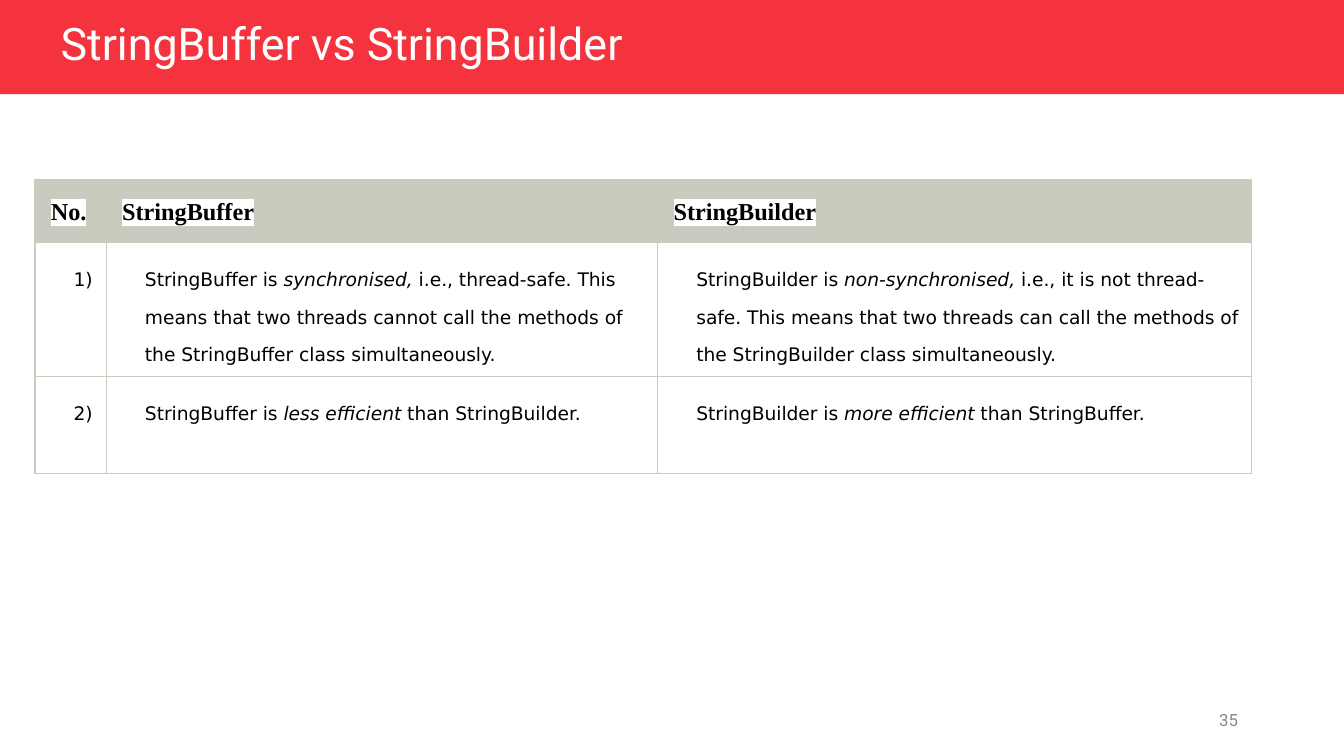
from lxml import etree
from pptx import Presentation
from pptx.dml.color import RGBColor
from pptx.enum.shapes import MSO_SHAPE
from pptx.enum.text import MSO_ANCHOR, MSO_AUTO_SIZE, PP_ALIGN
from pptx.oxml.ns import qn
from pptx.util import Cm, Pt

RECT = MSO_SHAPE.RECTANGLE
MIDDLE = MSO_ANCHOR.MIDDLE
LEFT, RIGHT = PP_ALIGN.LEFT, PP_ALIGN.RIGHT
NO_FIT = MSO_AUTO_SIZE.NONE

RED, WHITE, BLACK = "F5333F", "FFFFFF", "000000"
SAGE, GREY = "C7CCBE", "888888"

TITLE_FONT = {"name": "Roboto", "size": Pt(24), "bold": False}
NUMBER_FONT = {"name": "Roboto", "size": Pt(9)}
HEAD_FONT = {"name": "Times New Roman", "size": Pt(13), "bold": True}
BODY_FONT = {"name": "DejaVu Sans", "size": Pt(10), "bold": False}

COL_WIDTHS = (1.35, 10.42, 11.22)
ROW_HEIGHTS = (1.2, 2.53, 1.83)

# Each cell is a list of runs; every second run is italic
HEADINGS = [["No."], ["StringBuffer"], ["StringBuilder"]]
ROWS = [
    [["1)"],
     ["StringBuffer is ", "synchronised,",
      " i.e., thread-safe. This means that two threads cannot call the "
      "methods of the StringBuffer class simultaneously."],
     ["StringBuilder is ", "non-synchronised,",
      " i.e., it is not thread-safe. This means that two threads can call the "
      "methods of the StringBuilder class simultaneously."]],
    [["2)"],
     ["StringBuffer is ", "less efficient", " than StringBuilder."],
     ["StringBuilder is ", "more efficient", " than StringBuffer."]],
]


def rgb(color):
    return RGBColor.from_string(color)


def add_run(p, text, font, color, italic=False):
    r = p.add_run()
    r.text = text
    for name, value in font.items():
        setattr(r.font, name, value)
    r.font.italic = italic
    r.font.color.rgb = rgb(color)
    return r


def highlight(r, color):
    mark = etree.Element(qn("a:highlight"))
    etree.SubElement(mark, qn("a:srgbClr"), val=color)
    r.font.fill  # the mark sits between the fill and the typeface
    r.font._element.find(qn("a:latin")).addprevious(mark)


def place(sp, left, top, width, height):
    box = {"left": left, "top": top, "width": width, "height": height}
    for name, value in box.items():
        setattr(sp, name, Cm(value))


def set_line(sp, text, font, color, align, spacing=1.0):
    tf = sp.text_frame
    tf.word_wrap = True
    tf.auto_size = NO_FIT
    tf.vertical_anchor = MIDDLE
    p = tf.paragraphs[0]
    p.alignment = align
    p.line_spacing = spacing
    add_run(p, text, font, color)


def add_banner(s, width):
    sp = s.shapes.add_shape(RECT, 0, 0, width, Cm(1.78))
    sp.shadow.inherit = False
    sp.fill.solid()
    sp.fill.fore_color.rgb = rgb(RED)
    sp.line.fill.background()
    s.shapes.element.insert(2, sp.element)  # behind the title


def set_borders(cell, color):
    tc_pr = cell._tc.get_or_add_tcPr()
    for side in ("a:lnL", "a:lnR", "a:lnT", "a:lnB"):
        ln = etree.SubElement(tc_pr, qn(side), w=str(Pt(0.75)))
        fill = etree.SubElement(ln, qn("a:solidFill"))
        etree.SubElement(fill, qn("a:srgbClr"), val=color)


def fill_cell(cell, runs, is_head):
    set_borders(cell, SAGE)
    cell.fill.solid()
    cell.fill.fore_color.rgb = rgb(SAGE if is_head else WHITE)
    for side in ("left", "right", "top", "bottom"):
        setattr(cell, f"margin_{side}", Cm(0.3 if is_head else 0.2))

    p = cell.text_frame.paragraphs[0]
    p.line_spacing = 1.15 if is_head else 1.73
    if not is_head:
        p._p.get_or_add_pPr().set("marL", str(Cm(0.53)))
    for i, text in enumerate(runs):
        r = add_run(p, text, HEAD_FONT if is_head else BODY_FONT, BLACK, i % 2 == 1)
        if is_head:
            highlight(r, WHITE)


def add_comparison(s, left, top):
    rows = [HEADINGS, *ROWS]
    table = s.shapes.add_table(
        len(rows), len(COL_WIDTHS), Cm(left), Cm(top),
        Cm(sum(COL_WIDTHS)), Cm(sum(ROW_HEIGHTS))).table
    table.horz_banding = False
    for col, width in zip(table.columns, COL_WIDTHS):
        col.width = Cm(width)
    for i, (row, height) in enumerate(zip(table.rows, ROW_HEIGHTS)):
        row.height = Cm(height)
        for cell, runs in zip(row.cells, rows[i]):
            fill_cell(cell, runs, i == 0)


def main():
    prs = Presentation()
    prs.slide_width, prs.slide_height = Cm(25.4), Cm(14.29)
    s = prs.slides.add_slide(prs.slide_layouts[5])

    # Banner and title
    add_banner(s, prs.slide_width)
    title = s.shapes.title
    place(title, 0.89, 0.33, 14.12, 1.07)
    set_line(title, "StringBuffer vs StringBuilder", TITLE_FONT, WHITE, LEFT, 0.9)

    # Comparison table
    add_comparison(s, 0.66, 3.39)

    # Slide number
    number = s.shapes.add_textbox(Cm(17.93), Cm(13.23), Cm(5.72), Cm(0.76))
    set_line(number, "35", NUMBER_FONT, GREY, RIGHT)

    prs.save("out.pptx")


if __name__ == "__main__":
    main()
